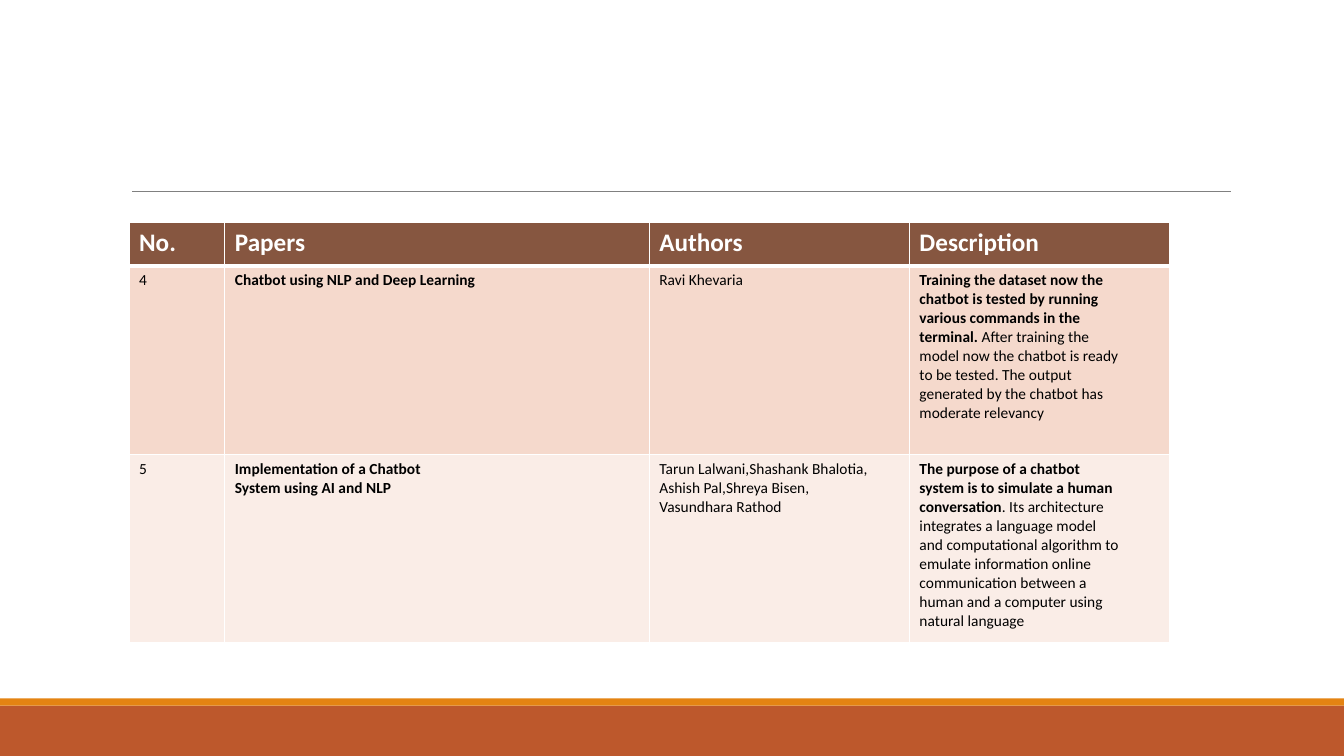
from lxml import etree
from pptx import Presentation
from pptx.dml.color import RGBColor
from pptx.enum import shapes
from pptx.oxml.ns import qn
from pptx.util import Inches, Pt

COLORS = {
    "rust": "BD582C", "orange": "E48312", "rule": "808080", "white": "FFFFFF",
    "black": "000000", "header": "865640", "odd": "F5D9CC", "even": "FAEDE7",
}
COLUMN_WIDTHS = [0.95, 4.21, 2.58, 2.58]
ROW_HEIGHTS = [0.43, 1.87, 1.87]

# Each cell is a pair: bold text, then the regular text that continues it.
PAPERS = [
    [("No.", ""), ("Papers", ""), ("Authors", ""), ("Description", "")],
    [
        ("", "4"),
        ("Chatbot using NLP and Deep Learning", ""),
        ("", "Ravi Khevaria"),
        ("Training the dataset now the\nchatbot is tested by running\n"
         "various commands in the\nterminal.",
         " After training the\nmodel now the chatbot is ready\n"
         "to be tested. The output\ngenerated by the chatbot has\n"
         "moderate relevancy"),
    ],
    [
        ("", "5"),
        ("Implementation of a Chatbot\nSystem using AI and NLP", ""),
        ("", "Tarun Lalwani,Shashank Bhalotia,\nAshish Pal,Shreya Bisen,\n"
             "Vasundhara Rathod"),
        ("The purpose of a chatbot\nsystem is to simulate a human\nconversation",
         ". Its architecture\nintegrates a language model\n"
         "and computational algorithm to emulate information online\n"
         "communication between a\nhuman and a computer using\nnatural language"),
    ],
]


def rgb(name):
    return RGBColor.from_string(COLORS[name])


class SlideBuilder:
    font_name = "Calibri"

    def __init__(self, page):
        self.page = page

    def band(self, top, height, color):
        box = self.page.shapes.add_shape(
            shapes.MSO_SHAPE.RECTANGLE, 0, Inches(top), Inches(13.33), Inches(height))
        box.shadow.inherit = False
        box.fill.solid()
        box.fill.fore_color.rgb = rgb(color)
        box.line.fill.background()

    def rule(self, left, right, top):
        line = self.page.shapes.add_connector(
            shapes.MSO_CONNECTOR.STRAIGHT,
            Inches(left), Inches(top), Inches(right), Inches(top))
        line.line.color.rgb = rgb("rule")
        line.line.width = Pt(0.5)
        etree.SubElement(line._element.spPr, qn("a:effectLst"))

    def table(self, left, top, rows):
        table = self.page.shapes.add_table(
            len(rows), len(COLUMN_WIDTHS), Inches(left), Inches(top),
            Inches(sum(COLUMN_WIDTHS)), Inches(sum(ROW_HEIGHTS))).table
        for column, width in zip(table.columns, COLUMN_WIDTHS):
            column.width = Inches(width)
        for row, height in zip(table.rows, ROW_HEIGHTS):
            row.height = Inches(height)
        for index, row in enumerate(rows):
            fill = ["header", "odd", "even"][index]
            size, color = (18, "white") if index == 0 else (11, "black")
            for cell, content in zip(table.rows[index].cells, row):
                self.borders(cell, top=3 if index == 1 else 1,
                             bottom=3 if index == 0 else 1)
                cell.fill.solid()
                cell.fill.fore_color.rgb = rgb(fill)
                self.cell_text(cell.text_frame, content, size, color)

    def borders(self, cell, top, bottom):
        properties = cell._tc.get_or_add_tcPr()
        for side, width in (("L", 1), ("R", 1), ("T", top), ("B", bottom)):
            line = etree.SubElement(properties, qn("a:ln" + side), w=str(Pt(width)))
            fill = etree.SubElement(line, qn("a:solidFill"))
            etree.SubElement(fill, qn("a:srgbClr"), val=COLORS["white"])

    def cell_text(self, frame, content, size, color):
        """Write the bold part, then the regular part; a newline starts a paragraph."""
        para = frame.paragraphs[0]
        for part, bold in zip(content, (True, False)):
            for number, words in enumerate(part.split("\n")):
                if number:
                    para = frame.add_paragraph()
                if words:
                    span = para.add_run()
                    span.text = words
                    span.font.bold = bold
        for para in frame.paragraphs:
            para.font.name = self.font_name
            para.font.size = Pt(size)
            para.font.color.rgb = rgb(color)


def main():
    deck = Presentation()
    deck.slide_width, deck.slide_height = Inches(13.33), Inches(7.5)
    builder = SlideBuilder(deck.slides.add_slide(deck.slide_layouts[6]))
    builder.band(7, 0.5, "rust")
    builder.band(6.93, 0.07, "orange")
    builder.rule(1.31, 12.21, 1.9)
    builder.table(1.28, 2.21, PAPERS)
    deck.save("out.pptx")


if __name__ == "__main__":
    main()
